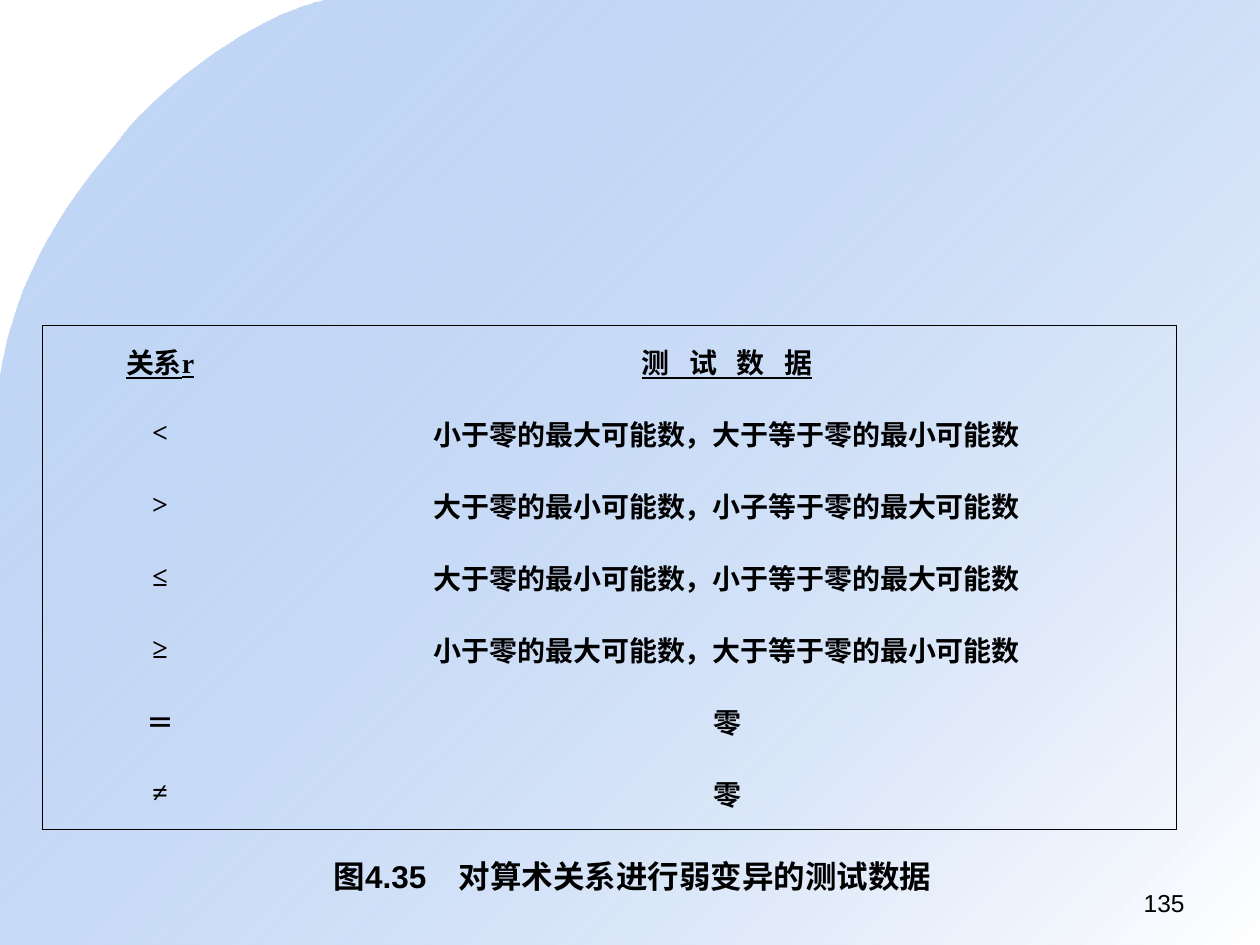
from lxml.etree import SubElement
from pptx import Presentation
from pptx.dml.color import RGBColor
from pptx.enum.text import MSO_ANCHOR as ANCHOR, PP_ALIGN as ALIGN
from pptx.oxml import parse_xml
from pptx.oxml.ns import nsdecls, qn
from pptx.util import Pt

WIDTH, HEIGHT = 720, 540
BLACK, WHITE, BLUE = "000000", "FFFFFF", "699DE9"

ROWS = [
    ("关系r", "测 试 数 据"),
    ("<", "小于零的最大可能数，大于等于零的最小可能数"),
    (">", "大于零的最小可能数，小子等于零的最大可能数"),
    ("≤", "大于零的最小可能数，小于等于零的最大可能数"),
    ("≥", "小于零的最大可能数，大于等于零的最小可能数"),
    ("＝", "零"),
    ("≠", "零"),
]

# Corner curve of the backdrop: start, then (control, control, end) per segment
CURVE_START = (185.8, 0)
CURVE = [
    ((136.8, 11.5), (83.5, 59.8), (70.6, 77)),
    ((57.6, 95), (11.5, 139.7), (0, 216.7)),
]


def rgb(color):
    return RGBColor.from_string(color)


def bezier(p0, p1, p2, p3, steps=24):
    """Return the points of a cubic curve after its start."""
    points = []
    for i in range(1, steps + 1):
        t = i / steps
        u = 1 - t
        weights = (u ** 3, 3 * u * u * t, 3 * u * t * t, t ** 3)
        points.append(tuple(sum(w * p[axis] for w, p in zip(weights, (p0, p1, p2, p3)))
                            for axis in (0, 1)))
    return points


def set_border(cell, visible_sides):
    """Draw thin black lines on the given sides (L, R, T, B) and none elsewhere."""
    tc_pr = cell._tc.get_or_add_tcPr()
    for i, side in enumerate("LRTB"):
        paint = (f'<a:solidFill><a:srgbClr val="{BLACK}"/></a:solidFill>'
                 if side in visible_sides else "<a:noFill/>")
        tc_pr.insert(i, parse_xml(
            f'<a:ln{side} {nsdecls("a")} w="{Pt(0.45)}">{paint}</a:ln{side}>'))


class Deck:
    text_font, table_font, color = "Arial", "Times New Roman", BLACK

    def __init__(self):
        self.prs = Presentation()
        self.prs.slide_width, self.prs.slide_height = Pt(WIDTH), Pt(HEIGHT)
        self.s = self.prs.slides.add_slide(self.prs.slide_layouts[6])

    def style(self, p, font, size, bold, align):
        p.alignment = align
        p.font.name, p.font.size, p.font.bold = font, Pt(size), bold
        p.font.color.rgb = rgb(self.color)

    def backdrop(self):
        points, start = [], CURVE_START
        for c1, c2, end in CURVE:
            points += bezier(start, c1, c2, end)
            start = end
        points += [(0, HEIGHT), (WIDTH, HEIGHT), (WIDTH, 0)]
        fb = self.s.shapes.build_freeform(Pt(CURVE_START[0]), Pt(CURVE_START[1]))
        fb.add_line_segments([(Pt(x), Pt(y)) for x, y in points], close=True)
        sp = fb.convert_to_shape()
        sp.shadow.inherit = False
        sp.line.fill.background()
        sp.fill.gradient()
        sp.fill.gradient_angle = 315
        for stop, color in zip(sp.fill.gradient_stops, (BLUE, WHITE)):
            stop.color.rgb = rgb(color)
        blue = next(sp._element.iter(qn("a:srgbClr")))
        SubElement(blue, qn("a:alpha"), val="39000")

    def table(self, rows, left, top, col_widths, height):
        last_row, last_col = len(rows) - 1, len(col_widths) - 1
        table = self.s.shapes.add_table(len(rows), len(col_widths), Pt(left), Pt(top),
                                        Pt(sum(col_widths)), Pt(height)).table
        table.first_row = table.horz_banding = False
        for column, width in zip(table.columns, col_widths):
            column.width = Pt(width)
        for i, row in enumerate(rows):
            table.rows[i].height = Pt(height / len(rows))
            for j, text in enumerate(row):
                cell = table.cell(i, j)
                cell.text = text
                cell.fill.background()
                cell.vertical_anchor = ANCHOR.MIDDLE
                p = cell.text_frame.paragraphs[0]
                self.style(p, self.table_font, 16, True, ALIGN.CENTER)
                p.font.underline = i == 0
                edges = {"L": j == 0, "R": j == last_col, "T": i == 0, "B": i == last_row}
                set_border(cell, [side for side, on in edges.items() if on])
        return table

    def text(self, text, left, top, width, height, size, bold=False,
             align=ALIGN.LEFT, tab=None):
        sp = self.s.shapes.add_textbox(Pt(left), Pt(top), Pt(width), Pt(height))
        tf = sp.text_frame
        tf.word_wrap = True
        p = tf.paragraphs[0]
        p.text = text
        if tab:
            tabs = SubElement(p._p.get_or_add_pPr(), qn("a:tabLst"))
            SubElement(tabs, qn("a:tab"), pos=str(Pt(tab)), algn="l")
        self.style(p, self.text_font, size, bold, align)


def main():
    deck = Deck()
    deck.backdrop()
    table = deck.table(ROWS, 24, 186, (135, 513), 288)
    heading = table.cell(0, 1).text_frame.paragraphs[0].runs[0]
    heading._r.get_or_add_rPr().set("spc", "380")
    deck.text("图4.35\t对算术关系进行弱变异的测试数据", 183.6, 486, 368, 28.8, 18,
              bold=True, tab=71.5)
    deck.text("135", 516, 504, 168, 25, 14, align=ALIGN.RIGHT)
    deck.prs.save("out.pptx")


if __name__ == "__main__":
    main()
